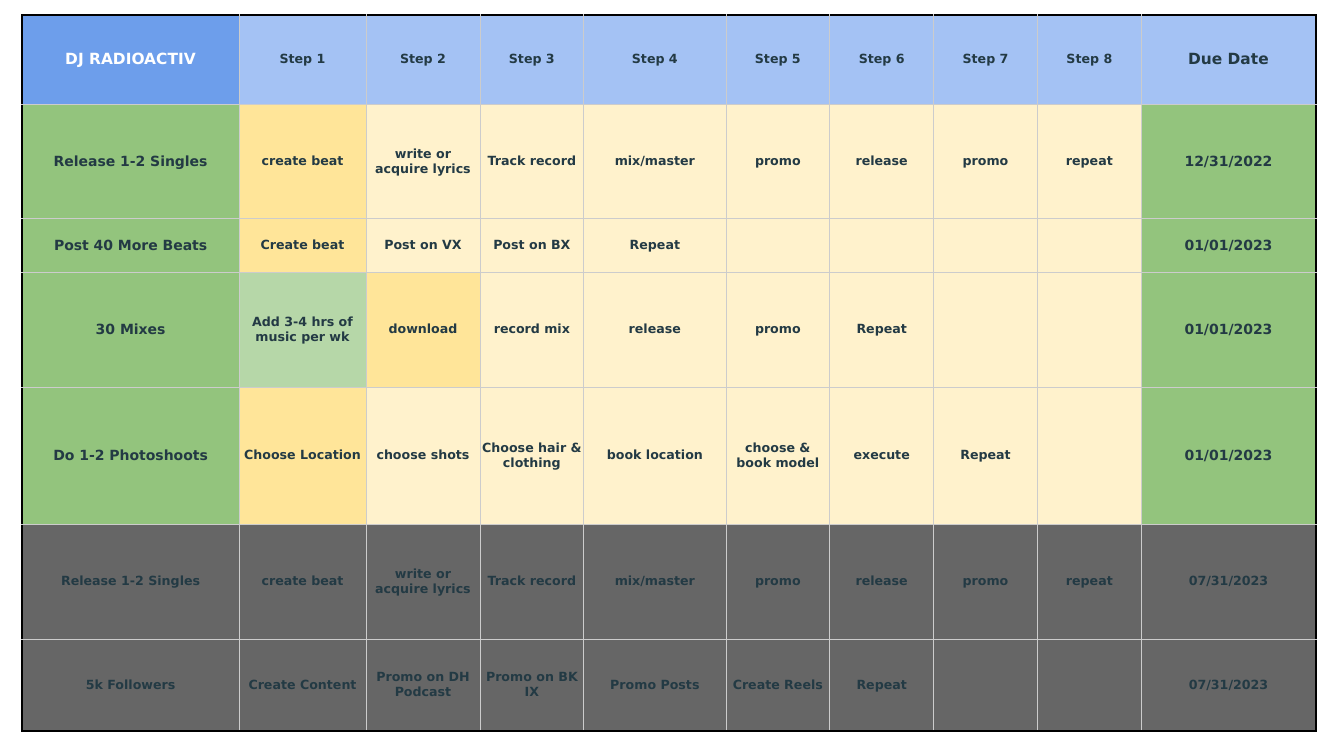
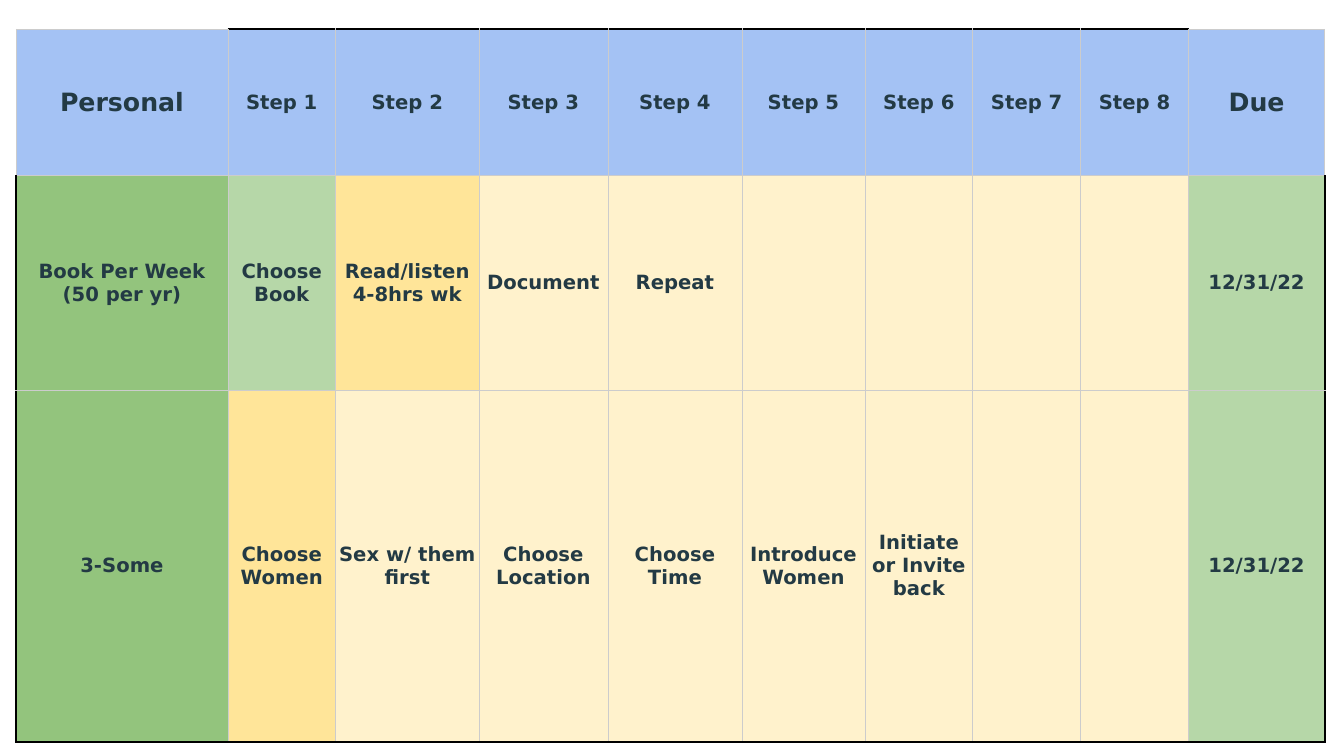
"""Build two goal planners, each a table of steps with a due date."""
from dataclasses import dataclass

from lxml import etree
from pptx import Presentation
from pptx.dml.color import RGBColor
from pptx.enum.text import MSO_ANCHOR, PP_ALIGN
from pptx.oxml.ns import qn
from pptx.slide import Slide
from pptx.table import _Cell
from pptx.util import Pt

MIDDLE = MSO_ANCHOR.MIDDLE
CENTER = PP_ALIGN.CENTER

EMU_PER_PX = 9144
SLIDE_WIDTH, SLIDE_HEIGHT = 1333, 750
FONT = "DejaVu Sans"
INK, WHITE = "233A44", "FFFFFF"
GRID_LINE = ("CCCCCC", 0.5)
OUTLINE = ("000000", 1.5)
FILLS = {
    "N": "6D9EEB",
    "H": "A4C2F4",
    "G": "93C47D",
    "L": "B6D7A8",
    "Y": "FFE599",
    "C": "FFF2CC",
    "D": "666666",
}
STEPS = tuple(f"Step {number}" for number in range(1, 9))


@dataclass(frozen=True)
class Goal:
    """One table row: its height, fill codes, name, steps and due date."""
    height: int
    fills: str
    name: str
    steps: tuple[str, ...]
    due: str
    edge_size: int


@dataclass(frozen=True)
class Planner:
    """One table: its place, column widths, step text size and rows."""
    left: int
    top: int
    widths: tuple[int, ...]
    step_size: int
    side_inset: int
    open_corners: bool
    goals: tuple[Goal, ...]


SINGLES_STEPS = ("create beat", "write or acquire lyrics", "Track record", "mix/master",
                 "promo", "release", "promo", "repeat")

MUSIC = Planner(
    left=22, top=15, widths=(215, 126, 113, 103, 141, 103, 103, 103, 103, 173),
    step_size=9, side_inset=1, open_corners=False,
    goals=(
        Goal(88, "NHHHHHHHHH", "DJ RADIOACTIV", STEPS, "Due Date", 11),
        Goal(114, "GYCCCCCCCG", "Release 1-2 Singles", SINGLES_STEPS, "12/31/2022", 10),
        Goal(53, "GYCCCCCCCG", "Post 40 More Beats",
             ("Create beat", "Post on VX", "Post on BX", "Repeat"), "01/01/2023", 10),
        Goal(114, "GLYCCCCCCG", "30 Mixes",
             ("Add 3-4 hrs of music per wk", "download", "record mix", "release",
              "promo", "Repeat"), "01/01/2023", 10),
        Goal(136, "GYCCCCCCCG", "Do 1-2 Photoshoots",
             ("Choose Location", "choose shots", "Choose hair & clothing", "book location",
              "choose & book model", "execute", "Repeat"), "01/01/2023", 10),
        Goal(114, "DDDDDDDDDD", "Release 1-2 Singles", SINGLES_STEPS, "07/31/2023", 9),
        Goal(91, "DDDDDDDDDD", "5k Followers",
             ("Create Content", "Promo on DH Podcast", "Promo on BK IX", "Promo Posts",
              "Create Reels", "Repeat"), "07/31/2023", 9),
    ),
)

PERSONAL = Planner(
    left=16, top=29, widths=(210, 107, 142, 128, 133, 122, 107, 107, 107, 135),
    step_size=14, side_inset=2, open_corners=True,
    goals=(
        Goal(145, "HHHHHHHHHH", "Personal", STEPS, "Due", 18),
        Goal(213, "GLYCCCCCCL", "Book Per Week (50 per yr)",
             ("Choose Book", "Read/listen 4-8hrs wk", "Document", "Repeat"), "12/31/22", 14),
        Goal(349, "GYCCCCCCCL", "3-Some",
             ("Choose Women", "Sex w/ them first", "Choose Location", "Choose Time",
              "Introduce Women", "Initiate or Invite back"), "12/31/22", 14),
    ),
)


def px(length: int) -> int:
    """Turn pixels into EMU."""
    return length * EMU_PER_PX


def color(code: str) -> RGBColor:
    """Turn a hex string into a colour."""
    return RGBColor.from_string(code)


def set_borders(cell: _Cell, outlined: dict[str, bool]) -> None:
    """Draw the four cell borders, heavy on the outlined sides."""
    properties = cell._tc.get_or_add_tcPr()
    for index, (side, is_outline) in enumerate(outlined.items()):
        line_color, width = OUTLINE if is_outline else GRID_LINE
        line = etree.Element(qn(f"a:ln{side}"), w=str(Pt(width)))
        fill = etree.SubElement(line, qn("a:solidFill"))
        etree.SubElement(fill, qn("a:srgbClr"), val=line_color)
        properties.insert(index, line)


def fill_cell(cell: _Cell, text: str, fill_code: str, size: int, side_inset: int) -> None:
    """Set the text, fill and margins of a cell."""
    cell.fill.solid()
    cell.fill.fore_color.rgb = color(FILLS[fill_code])
    cell.vertical_anchor = MIDDLE
    cell.margin_left = cell.margin_right = px(side_inset)
    cell.margin_top = cell.margin_bottom = px(1)
    cell.text = text
    paragraph = cell.text_frame.paragraphs[0]
    paragraph.alignment = CENTER
    font = paragraph.font
    font.name, font.size, font.bold = FONT, Pt(size), True
    font.color.rgb = color(WHITE if fill_code == "N" else INK)


def draw_planner(slide: Slide, planner: Planner) -> None:
    """Draw a planner as a table."""
    goals, widths = planner.goals, planner.widths
    last_row, last_column = len(goals) - 1, len(widths) - 1
    table = slide.shapes.add_table(
        len(goals), len(widths), px(planner.left), px(planner.top),
        px(sum(widths)), px(sum(goal.height for goal in goals))).table
    table.first_row = table.horz_banding = False
    for column, width in zip(table.columns, widths):
        column.width = px(width)
    for row, goal in enumerate(goals):
        table.rows[row].height = px(goal.height)
        blanks = ("",) * (len(STEPS) - len(goal.steps))
        texts = (goal.name, *goal.steps, *blanks, goal.due)
        for column, (text, fill_code) in enumerate(zip(texts, goal.fills)):
            cell = table.cell(row, column)
            at_edge = column in (0, last_column)
            size = goal.edge_size if at_edge else planner.step_size
            fill_cell(cell, text, fill_code, size, planner.side_inset)
            closed = not (planner.open_corners and row == 0 and at_edge)
            set_borders(cell, {
                "L": closed and column == 0,
                "R": closed and column == last_column,
                "T": closed and row == 0,
                "B": row == last_row,
            })


def main() -> None:
    """Build and save the presentation."""
    presentation = Presentation()
    presentation.slide_width = px(SLIDE_WIDTH)
    presentation.slide_height = px(SLIDE_HEIGHT)
    blank_layout = presentation.slide_layouts[6]
    for planner in (MUSIC, PERSONAL):
        draw_planner(presentation.slides.add_slide(blank_layout), planner)
    presentation.save("out.pptx")


if __name__ == "__main__":
    main()
